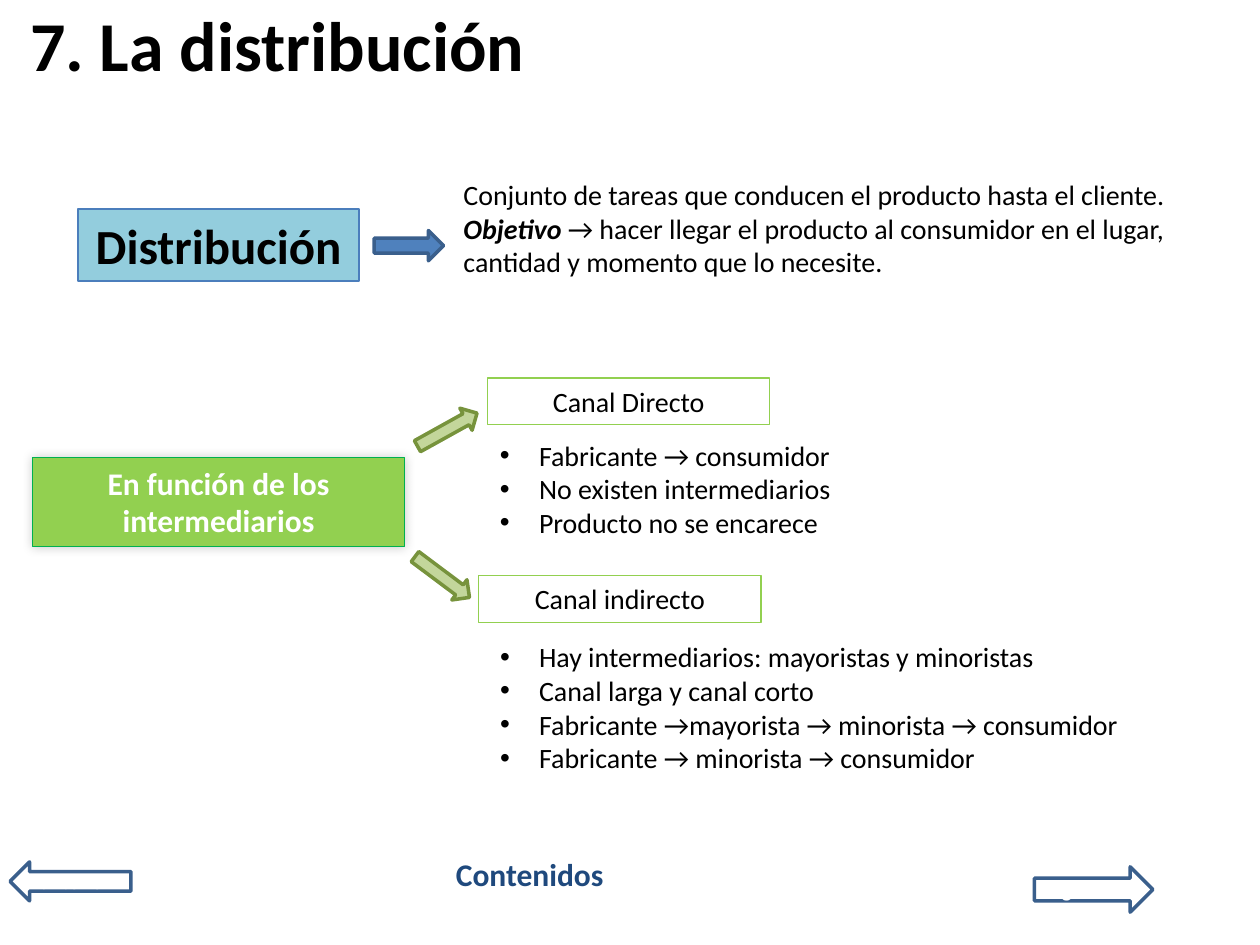
from lxml.etree import SubElement
from pptx import Presentation
from pptx.dml.color import RGBColor
from pptx.enum.shapes import MSO_SHAPE
from pptx.enum.text import MSO_ANCHOR, PP_ALIGN
from pptx.oxml.ns import qn
from pptx.util import Inches, Pt

COLORS = {
    "black": "000000", "white": "FFFFFF", "navy": "1F497D",
    "sky": "93CDDD", "edge": "4B7EBC", "blue": "4F81BD", "steel": "3A5F8C",
    "lime": "92D050", "green": "00B050", "sage": "C3D69B", "olive": "77933C",
}
RECT, RIGHT, LEFT = MSO_SHAPE.RECTANGLE, MSO_SHAPE.RIGHT_ARROW, MSO_SHAPE.LEFT_ARROW

# Each paragraph is a list of runs: (text, style), style "b" bold, "i" italic
TITLE = [[("7. La distribución", "b")]]
MEANING = [
    [("Conjunto de tareas que conducen el producto hasta el cliente.", "")],
    [("Objetivo ", "bi"),
     ("→ hacer llegar el producto al consumidor en el lugar, "
      "cantidad y momento que lo necesite.", "")],
]
DIRECT = [
    [("Fabricante → consumidor", "")],
    [("No existen intermediarios", "")],
    [("Producto no se encarece", "")],
]
INDIRECT = [
    [("Hay intermediarios: mayoristas y minoristas", "")],
    [("Canal larga y canal corto", "")],
    [("Fabricante →mayorista → minorista → consumidor", "")],
    [("Fabricante → minorista → consumidor", "")],
]

# place, paragraphs, size, colour, anchor, bullets
TEXTS = [
    ((0.14, 0.03, 9.42, 0.63), TITLE, 40, "black", MSO_ANCHOR.MIDDLE, False),
    ((3.58, 1.36, 6.15, 0.91), MEANING, 16, "black", MSO_ANCHOR.TOP, False),
    ((3.87, 3.43, 3.34, 0.91), DIRECT, 16, "black", MSO_ANCHOR.TOP, True),
    ((3.87, 5.03, 5.95, 1.18), INDIRECT, 16, "black", MSO_ANCHOR.TOP, True),
    ((3.52, 6.74, 1.44, 0.4), [[("Contenidos", "b")]], 18, "navy",
     MSO_ANCHOR.TOP, False),
]

# place, label, style, size, text colour, fill, line
BOXES = [
    ((0.62, 1.66, 2.23, 0.57), "Distribución", "b", 28, "black", "sky", "edge"),
    ((0.26, 3.63, 2.95, 0.71), "En función de los intermediarios", "b", 18,
     "white", "lime", "green"),
    ((3.87, 3, 2.24, 0.37), "Canal Directo", "", 16, "black", None, "lime"),
    ((3.8, 4.57, 2.24, 0.37), "Canal indirecto", "", 16, "black", None, "lime"),
]

# place, kind, turn, fill, line, label
ARROWS = [
    ((2.97, 1.83, 0.55, 0.24), RIGHT, 0, "blue", "steel", ""),
    ((3.28, 3.31, 0.54, 0.2), RIGHT, 331, "sage", "olive", ""),
    ((3.24, 4.48, 0.54, 0.2), RIGHT, 36.8, "sage", "olive", ""),
    ((0.08, 6.84, 0.96, 0.31), LEFT, 0, None, "steel", "anterior"),
    ((8.21, 6.88, 0.94, 0.36), RIGHT, 0, None, "steel", "siguiente"),
]


def rgb(name):
    return RGBColor.from_string(COLORS[name])


def add_bullet(para):
    props = para._p.get_or_add_pPr()
    props.set("marL", str(Inches(0.31)))
    props.set("indent", str(Inches(-0.31)))
    SubElement(props, qn("a:buFont")).set("typeface", "Arial")
    SubElement(props, qn("a:buChar")).set("char", "•")


def write(shape, paras, size, color, anchor, align=PP_ALIGN.LEFT, bullets=False):
    frame = shape.text_frame
    frame.word_wrap = True
    frame.vertical_anchor = anchor
    for n, runs in enumerate(paras):
        para = frame.add_paragraph() if n else frame.paragraphs[0]
        para.alignment = align
        if bullets:
            add_bullet(para)
        for text, style in runs:
            run = para.add_run()
            run.text = text
            font = run.font
            font.name, font.size = "Calibri", Pt(size)
            font.bold, font.italic = "b" in style, "i" in style
            font.color.rgb = rgb(color)


def add_shape(slide, kind, place, fill, line, width):
    shape = slide.shapes.add_shape(kind, *map(Inches, place))
    shape.shadow.inherit = False
    if fill:
        shape.fill.solid()
        shape.fill.fore_color.rgb = rgb(fill)
    else:
        shape.fill.background()
    shape.line.color.rgb = rgb(line)
    shape.line.width = Pt(width)
    return shape


def add_glow(shape):
    """Give the shape a soft, faint shadow on all sides."""
    effects = shape._element.spPr.find(qn("a:effectLst"))
    shadow = SubElement(effects, qn("a:outerShdw"), blurRad=str(Pt(6)),
                        dist="0", dir=str(225 * 60000), rotWithShape="0")
    tint = SubElement(shadow, qn("a:srgbClr"), val=COLORS["black"])
    SubElement(tint, qn("a:alpha"), val="20000")


def main():
    deck = Presentation()
    deck.slide_width, deck.slide_height = Inches(10), Inches(7.5)
    slide = deck.slides.add_slide(deck.slide_layouts[6])

    for place, label, style, size, color, fill, line in BOXES:
        box = add_shape(slide, RECT, place, fill, line, 0.75)
        write(box, [[(label, style)]], size, color, MSO_ANCHOR.TOP,
              PP_ALIGN.CENTER)
        if fill == "lime":
            add_glow(box)

    for place, kind, turn, fill, line, label in ARROWS:
        arrow = add_shape(slide, kind, place, fill, line, 2)
        arrow.rotation = turn
        if label:
            write(arrow, [[(label, "b")]], 12, "white", MSO_ANCHOR.MIDDLE,
                  PP_ALIGN.CENTER)

    for place, paras, size, color, anchor, bullets in TEXTS:
        box = slide.shapes.add_textbox(*map(Inches, place))
        write(box, paras, size, color, anchor, bullets=bullets)

    deck.save("out.pptx")


if __name__ == "__main__":
    main()
